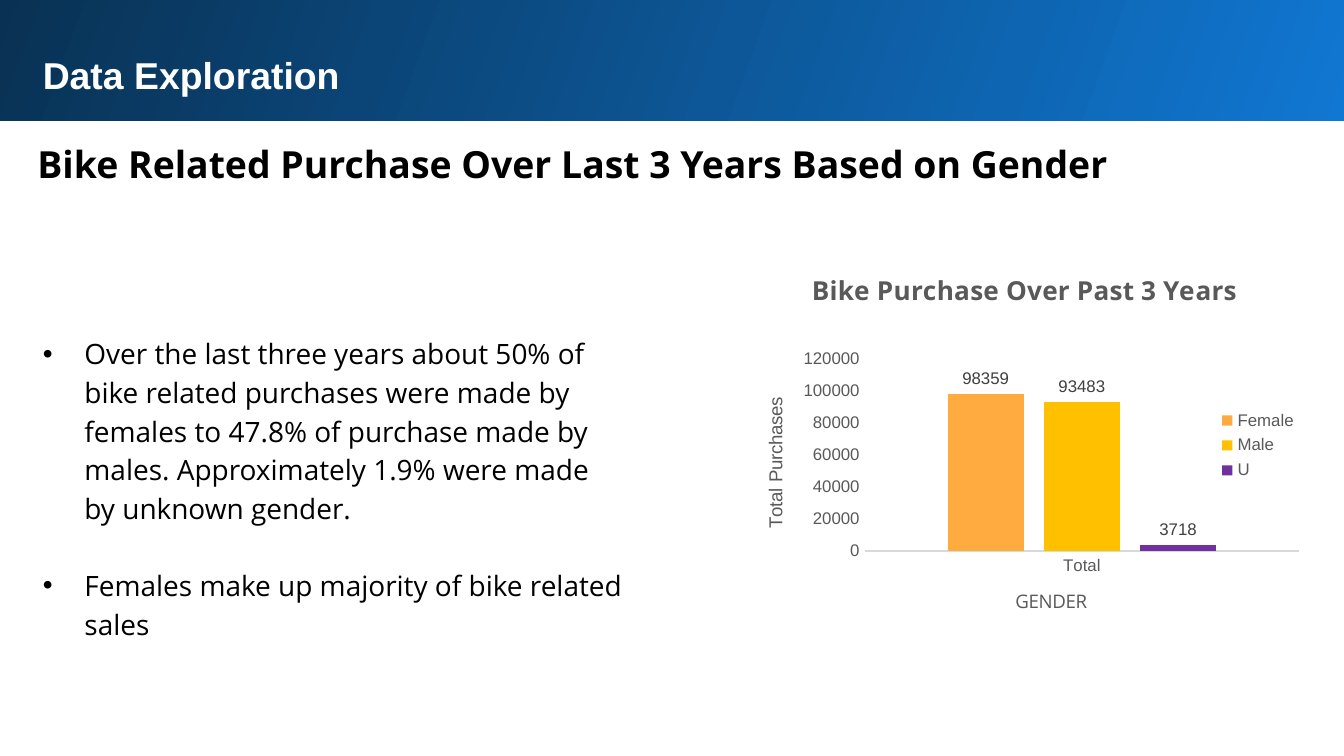
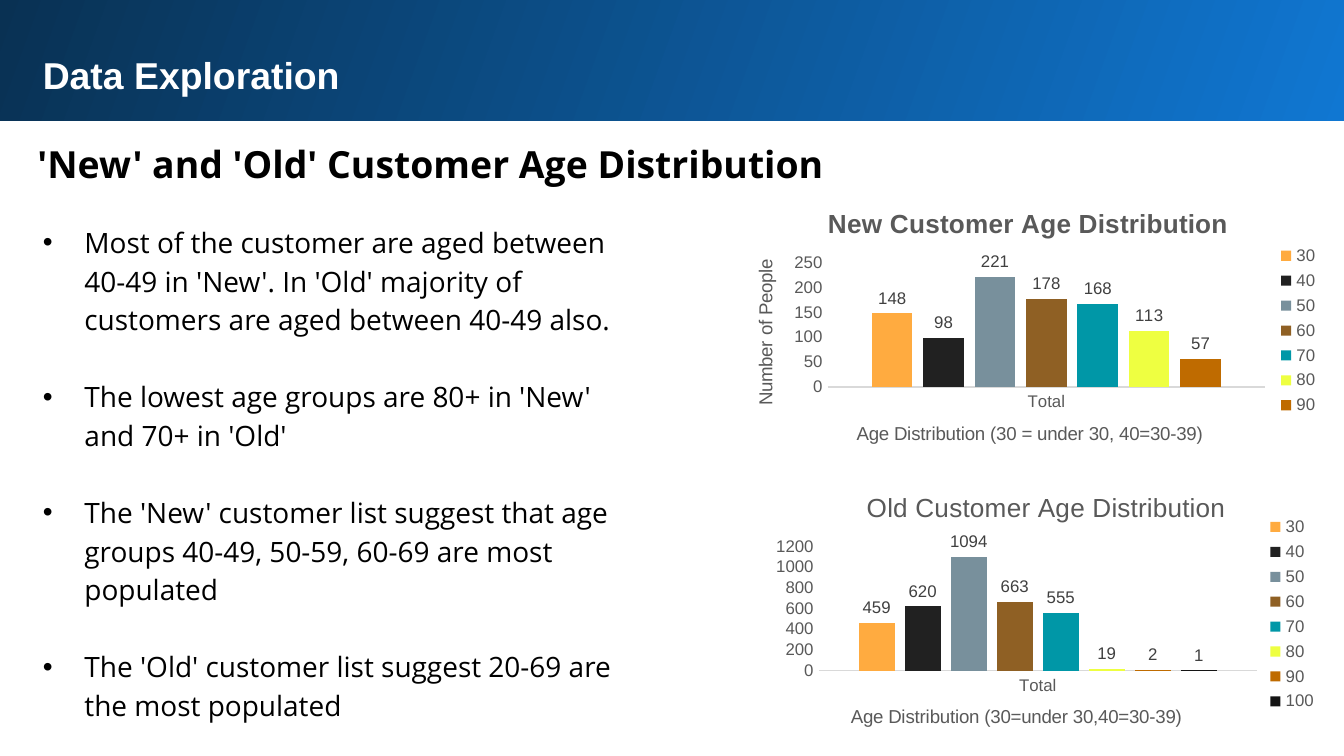
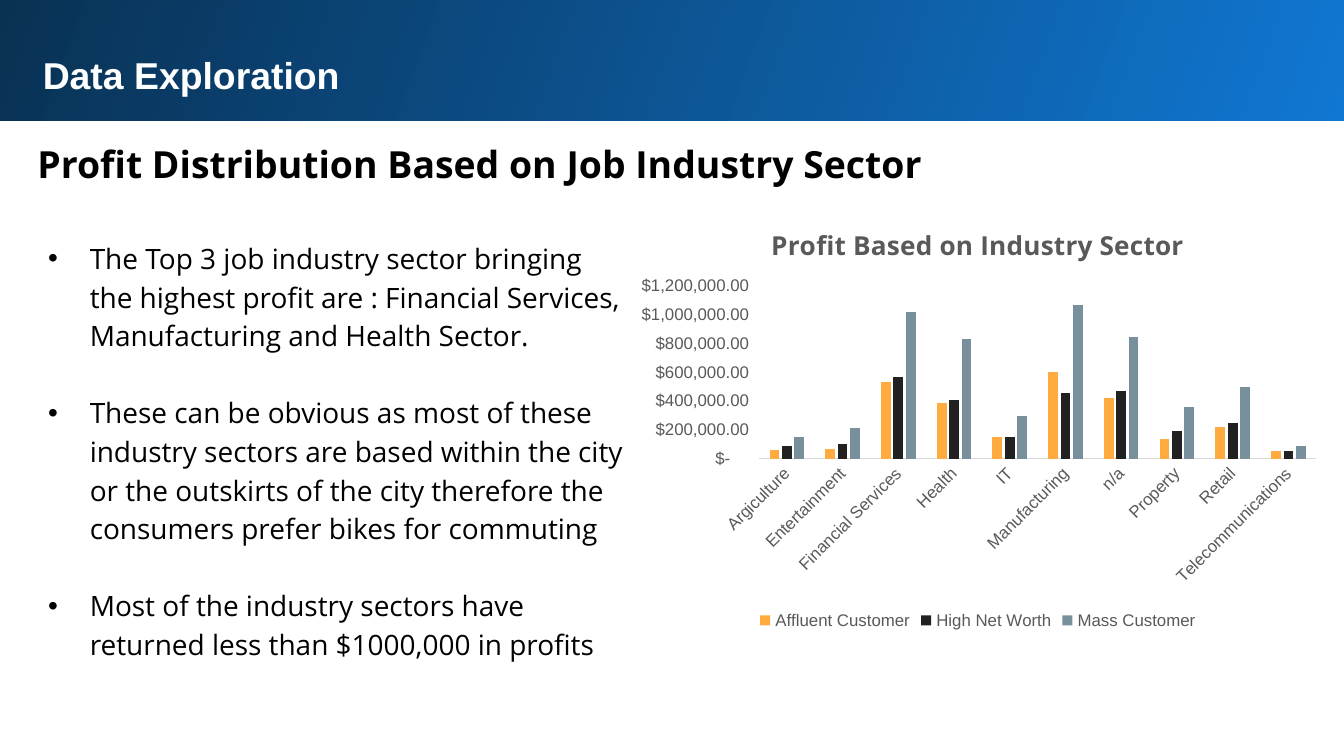
from lxml import etree
from pptx import Presentation
from pptx.chart.data import CategoryChartData
from pptx.dml.color import RGBColor
from pptx.enum.chart import XL_CHART_TYPE as ChartType
from pptx.enum.chart import XL_LABEL_POSITION as LabelPosition
from pptx.enum.chart import XL_LEGEND_POSITION as LegendPosition
from pptx.enum.chart import XL_TICK_MARK as TickMark
from pptx.enum.shapes import MSO_SHAPE as Shape
from pptx.enum.text import MSO_AUTO_SIZE as AutoSize
from pptx.oxml.ns import qn
from pptx.util import Pt

PX = 4572  # 200 px to the inch
COLORS = {
    "white": "FFFFFF", "black": "000000", "bright": "1077D2", "navy": "093153",
    "chart_text": "595959", "label": "404040", "axis": "D9D9D9",
    "orange": "FFAB40", "gold": "FFC000", "purple": "7030A0",
    "charcoal": "212121", "slate": "78909C", "brown": "8F6024",
    "teal": "0097A7", "lime": "EEFF41", "rust": "BF6B00", "ink": "141414",
}
RGB = {name: RGBColor.from_string(value) for name, value in COLORS.items()}
BAR_COLORS = ["orange", "charcoal", "slate", "brown", "teal", "lime", "rust", "ink"]

BAND_TITLE = {"name": "Arial", "size": Pt(20), "bold": True}
HEADING = {"name": "Open Sans", "size": Pt(20), "bold": True}
BODY = {"name": "Open Sans", "size": Pt(15)}
CHART_SMALL = {"name": "Arial", "size": Pt(9), "bold": False}
AXIS_TITLE = {"name": "Arial", "size": Pt(10), "bold": False}
WIDE_AXIS_TITLE = {**AXIS_TITLE, "name": "Open Sans"}
CHART_TITLE = {"name": "Arial", "size": Pt(14), "bold": True}
PLAIN_CHART_TITLE = {**CHART_TITLE, "bold": False}
WIDE_CHART_TITLE = {**CHART_TITLE, "name": "Open Sans"}
DOLLARS = ('_([$$-409]* #,##0.00_);_([$$-409]* \\(#,##0.00\\);'
           '_([$$-409]* "-"??_);_(@_)')

SLIDES = [
    {
        "heading": "Bike Related Purchase Over Last 3 Years Based on Gender",
        "body_box": (44, 474, 904, 502),
        "bullets": [
            "Over the last three years about 50% of bike related purchases were made by "
            "females to 47.8% of purchase made by males. Approximately 1.9% were made "
            "by unknown gender.",
            "Females make up majority of bike related sales",
        ],
        "charts": [{
            "box": (1100, 372, 850, 582), "plot": (0.22, 0.28, 0.76, 0.49),
            "title": ("Bike Purchase Over Past 3 Years", WIDE_CHART_TITLE),
            "category_title": ("GENDER", WIDE_AXIS_TITLE),
            "value_title": ("Total Purchases", AXIS_TITLE),
            "scale": (120000, 20000), "categories": ["Total"],
            "series": {"Female": [98359], "Male": [93483], "U": [3718]},
            "colors": ["orange", "gold", "purple"], "legend_overlay": True,
        }],
    },
    {
        "heading": "'New' and 'Old' Customer Age Distribution",
        "body_box": (44, 308, 904, 850),
        "bullets": [
            "Most of the customer are aged between 40-49 in 'New'. In 'Old' majority of "
            "customers are aged between 40-49 also.",
            "The lowest age groups are 80+ in 'New' and 70+ in 'Old'",
            "The 'New' customer list suggest that age groups 40-49, 50-59, 60-69 are "
            "most populated",
            "The 'Old' customer list suggest 20-69 are the most populated",
        ],
        "charts": [
            {
                "box": (1078, 282, 904, 420), "plot": (0.17, 0.26, 0.72, 0.44),
                "title": ("New Customer Age Distribution", CHART_TITLE),
                "category_title": ("Age Distribution (30 = under 30, 40=30-39)", AXIS_TITLE),
                "value_title": ("Number of People", AXIS_TITLE),
                "scale": (250, 50), "categories": ["Total"],
                "series": {"30": [148], "40": [98], "50": [221], "60": [178],
                           "70": [168], "80": [113], "90": [57]},
            },
            {
                "box": (1134, 704, 846, 420), "plot": (0.1, 0.26, 0.77, 0.44),
                "title": ("Old Customer Age Distribution", PLAIN_CHART_TITLE),
                "category_title": ("Age Distribution (30=under 30,40=30-39)", AXIS_TITLE),
                "scale": (1200, 200), "categories": ["Total"],
                "series": {"30": [459], "40": [620], "50": [1094], "60": [663],
                           "70": [555], "80": [19], "90": [2], "100": [1]},
            },
        ],
    },
    {
        "heading": "Profit Distribution Based on Job Industry Sector",
        "body_box": (52, 332, 904, 676),
        "bullets": [
            "The Top 3 job industry sector bringing the highest profit are : Financial "
            "Services, Manufacturing and Health Sector.",
            "These can be obvious as most of these industry sectors are based within the "
            "city or the outskirts of the city therefore the consumers prefer bikes for "
            "commuting",
            "Most of the industry sectors have returned less than $1000,000 in profits",
        ],
        "charts": [{
            "box": (930, 304, 1050, 642), "plot": (0.19, 0.19, 0.79, 0.4),
            "title": ("Profit Based on Industry Sector", WIDE_CHART_TITLE),
            "scale": (1200000, 200000), "number_format": DOLLARS,
            "categories": ["Argiculture", "Entertainment", "Financial Services", "Health",
                           "IT", "Manufacturing", "n/a", "Property", "Retail",
                           "Telecommunications"],
            "series": {
                "Affluent Customer": [60000, 70000, 530000, 390000, 150000,
                                      600000, 420000, 140000, 220000, 50000],
                "High Net Worth": [90000, 100000, 570000, 410000, 150000,
                                   460000, 470000, 190000, 250000, 50000],
                "Mass Customer": [150000, 210000, 1020000, 830000, 300000,
                                  1070000, 850000, 360000, 500000, 90000],
            },
            "legend": LegendPosition.BOTTOM, "labels": False, "slanted": True,
        }],
    },
]


def style_font(font, color, style):
    for name, value in style.items():
        setattr(font, name, value)
    font.color.rgb = RGB[color]


def add_text(slide, box, lines, color, style, line_spacing=1.0, gap=0):
    """Add a text box with one paragraph a line, gap points apart."""
    shape = slide.shapes.add_textbox(*(length * PX for length in box))
    frame = shape.text_frame
    frame.word_wrap = True
    frame.auto_size = AutoSize.SHAPE_TO_FIT_TEXT
    for side in ("left", "top", "right", "bottom"):
        setattr(frame, f"margin_{side}", 20 * PX)
    for index, line in enumerate(lines):
        paragraph = frame.add_paragraph() if index else frame.paragraphs[0]
        paragraph.line_spacing = line_spacing
        if index:
            paragraph.space_before = Pt(gap)
        run = paragraph.add_run()
        run.text = line
        style_font(run.font, color, style)
    return shape


presentation = Presentation()
presentation.slide_width = 2000 * PX
presentation.slide_height = 1125 * PX

for content in SLIDES:
    slide = presentation.slides.add_slide(presentation.slide_layouts[6])

    band = slide.shapes.add_shape(Shape.RECTANGLE, -4 * PX, -4 * PX, 2010 * PX, 184 * PX)
    band.shadow.inherit = False
    band.line.fill.background()
    band.fill.gradient()
    band.fill.gradient_angle = 160
    for stop, position, color in zip(band.fill.gradient_stops, (0, 1), ("bright", "navy")):
        stop.position = position
        stop.color.rgb = RGB[color]

    add_text(slide, (44, 58, 1874, 108), ["Data Exploration"], "white", BAND_TITLE)
    add_text(slide, (36, 180, 1874, 112), [content["heading"]], "black", HEADING, 1.15)
    body = add_text(slide, content["body_box"], content["bullets"], "black", BODY, 1.15, 20.6)
    for properties in body.element.xpath(".//a:pPr"):
        properties.set("marL", str(62 * PX))
        properties.set("indent", str(-62 * PX))
        etree.SubElement(properties, qn("a:buFont")).set("typeface", "Arial")
        etree.SubElement(properties, qn("a:buChar")).set("char", "•")

    for details in content["charts"]:
        data = CategoryChartData()
        data.categories = details["categories"]
        for name, values in details["series"].items():
            data.add_series(name, values)
        box = (length * PX for length in details["box"])
        chart = slide.shapes.add_chart(ChartType.COLUMN_CLUSTERED, *box, data).chart
        style_font(chart.font, "black", AXIS_TITLE)

        category_axis, value_axis = chart.category_axis, chart.value_axis
        for titled, key in ((chart, "title"), (category_axis, "category_title"),
                            (value_axis, "value_title")):
            titled.has_title = key in details
            if key in details:
                text, style = details[key]
                frame = (chart.chart_title if titled is chart else titled.axis_title).text_frame
                frame.text = text
                style_font(frame.paragraphs[0].runs[0].font, "chart_text", style)

        for axis in (category_axis, value_axis):
            axis.has_major_gridlines = False
            axis.major_tick_mark = axis.minor_tick_mark = TickMark.NONE
            style_font(axis.tick_labels.font, "chart_text", CHART_SMALL)
        category_axis.format.line.color.rgb = RGB["axis"]
        category_axis.format.line.width = Pt(0.75)
        value_axis.format.line.fill.background()
        value_axis.minimum_scale = 0
        value_axis.maximum_scale, value_axis.major_unit = details["scale"]
        if "number_format" in details:
            value_axis.tick_labels.number_format = details["number_format"]
            value_axis.tick_labels.number_format_is_linked = False

        chart.has_legend = True
        chart.legend.position = details.get("legend", LegendPosition.RIGHT)
        chart.legend.include_in_layout = details.get("legend_overlay", False)
        style_font(chart.legend.font, "chart_text", CHART_SMALL)

        plot = chart.plots[0]
        plot.vary_by_categories = False
        plot.gap_width = 219
        plot.overlap = -27
        for series, color in zip(plot.series, details.get("colors", BAR_COLORS)):
            series.invert_if_negative = False
            series.format.fill.solid()
            series.format.fill.fore_color.rgb = RGB[color]
            if details.get("labels", True):
                labels = series.data_labels
                labels.show_value = True
                labels.position = LabelPosition.OUTSIDE_END
                style_font(labels.font, "label", CHART_SMALL)

        for text_body in chart.element.xpath(".//c:valAx/c:title//a:bodyPr"):
            text_body.set("rot", "-5400000")
            text_body.set("vert", "horz")
        if details.get("slanted"):
            for text_body in chart.element.xpath(".//c:catAx/c:txPr/a:bodyPr"):
                text_body.set("rot", "-2700000")
                text_body.set("vert", "horz")

        plot_area = chart.element.xpath(".//c:plotArea")[0]
        for automatic in plot_area.xpath("c:layout"):
            plot_area.remove(automatic)
        layout = etree.Element(qn("c:layout"))
        manual = etree.SubElement(layout, qn("c:manualLayout"))
        settings = {"layoutTarget": "inner", "xMode": "edge", "yMode": "edge",
                    **dict(zip("xywh", details["plot"]))}
        for tag, value in settings.items():
            etree.SubElement(manual, qn(f"c:{tag}")).set("val", str(value))
        plot_area.insert(0, layout)

presentation.save("out.pptx")
